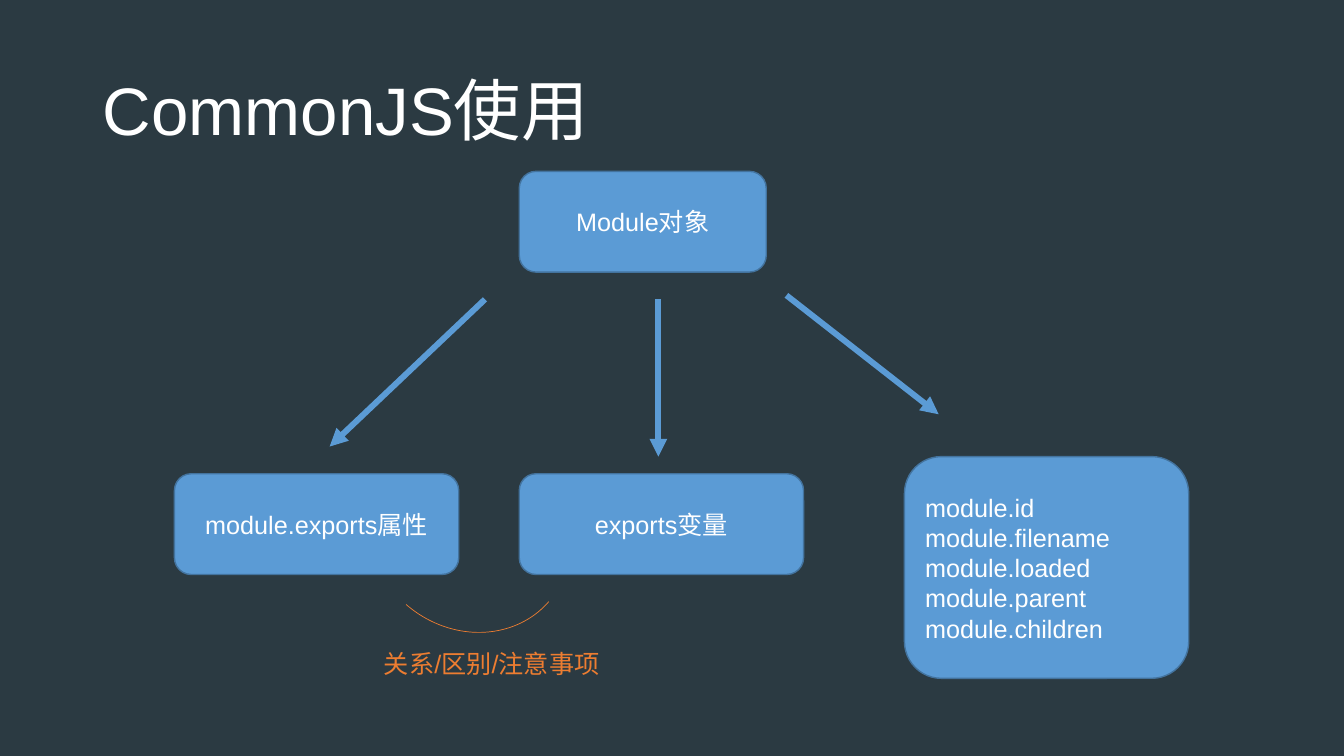
from pptx import Presentation
from pptx import util as u
from pptx.dml.color import RGBColor
from pptx.enum import shapes, text
from pptx.oxml.ns import qn
from lxml import etree

SLATE = RGBColor(0x2B, 0x3A, 0x42)
WHITE = RGBColor(0xFF, 0xFF, 0xFF)
BLUE = RGBColor(0x5B, 0x9B, 0xD5)
DARK_BLUE = RGBColor(0x43, 0x73, 0x9E)
ORANGE = RGBColor(0xED, 0x7D, 0x31)
MODULE_FIELDS = ["id", "filename", "loaded", "parent", "children"]


def write(frame, words, size=18, color=WHITE, font="Arial", align=text.PP_ALIGN.LEFT,
          anchor=text.MSO_ANCHOR.MIDDLE, spacing=None):
    """Fill a text frame, one paragraph for each line of words."""
    frame.word_wrap = True
    frame.auto_size = text.MSO_AUTO_SIZE.NONE
    frame.vertical_anchor = anchor
    for index, line in enumerate(words.split("\n")):
        para = frame.add_paragraph() if index else frame.paragraphs[0]
        para.alignment = align
        para.line_spacing = spacing
        span = para.add_run()
        span.text = line
        span.font.name = font
        span.font.size = u.Pt(size)
        span.font.color.rgb = color


class Diagram:
    def __init__(self, page):
        self.page = page
        page.background.fill.solid()
        page.background.fill.fore_color.rgb = SLATE

    def title(self, words, *bounds):
        box = self.page.shapes.title
        box.left, box.top, box.width, box.height = map(u.Inches, bounds)
        write(box.text_frame, words, size=48, spacing=0.9)

    def node(self, words, *bounds, align=text.PP_ALIGN.CENTER):
        box = self.page.shapes.add_shape(
            shapes.MSO_SHAPE.ROUNDED_RECTANGLE, *map(u.Inches, bounds))
        box.shadow.inherit = False
        box.fill.solid()
        box.fill.fore_color.rgb = BLUE
        box.line.color.rgb = DARK_BLUE
        box.line.width = u.Pt(1)
        write(box.text_frame, words, align=align)

    def arrow(self, *ends):
        line = self.page.shapes.add_connector(
            shapes.MSO_CONNECTOR.STRAIGHT, *map(u.Inches, ends))
        line.line.color.rgb = BLUE
        line.line.width = u.Pt(4.25)
        etree.SubElement(line.line._get_or_add_ln(), qn("a:tailEnd"), type="triangle")
        etree.SubElement(line._element.spPr, qn("a:effectLst"))

    def arc(self, *bounds, rotation):
        curve = self.page.shapes.add_shape(shapes.MSO_SHAPE.ARC, *map(u.Inches, bounds))
        curve.shadow.inherit = False
        curve.rotation = rotation
        curve.fill.background()
        curve.line.color.rgb = ORANGE
        curve.line.width = u.Pt(0.5)

    def label(self, words, *bounds):
        box = self.page.shapes.add_textbox(*map(u.Inches, bounds))
        write(box.text_frame, words, color=ORANGE, anchor=text.MSO_ANCHOR.TOP)


def main():
    deck = Presentation()
    deck.slide_width, deck.slide_height = u.Inches(13.33), u.Inches(7.5)
    diagram = Diagram(deck.slides.add_slide(deck.slide_layouts[5]))

    diagram.title("CommonJS使用", 0.92, 0.4, 11.5, 1.45)
    diagram.node("Module对象", 5.15, 1.7, 2.45, 1)
    diagram.node("module.exports属性", 1.73, 4.7, 2.82, 1)
    diagram.node("exports变量", 5.15, 4.7, 2.82, 1)
    diagram.node("\n".join(f"module.{field}" for field in MODULE_FIELDS),
                 8.97, 4.53, 2.82, 2.2, align=text.PP_ALIGN.LEFT)

    diagram.arrow(4.81, 2.97, 3.27, 4.43)
    diagram.arrow(6.53, 2.97, 6.53, 4.53)
    diagram.arrow(7.8, 2.93, 9.31, 4.11)

    diagram.arc(3.7, 4.23, 1.9, 2.1, rotation=131)
    diagram.label("关系/区别/注意事项", 3.71, 6.38, 2.36, 0.4)
    deck.save("out.pptx")


if __name__ == "__main__":
    main()
